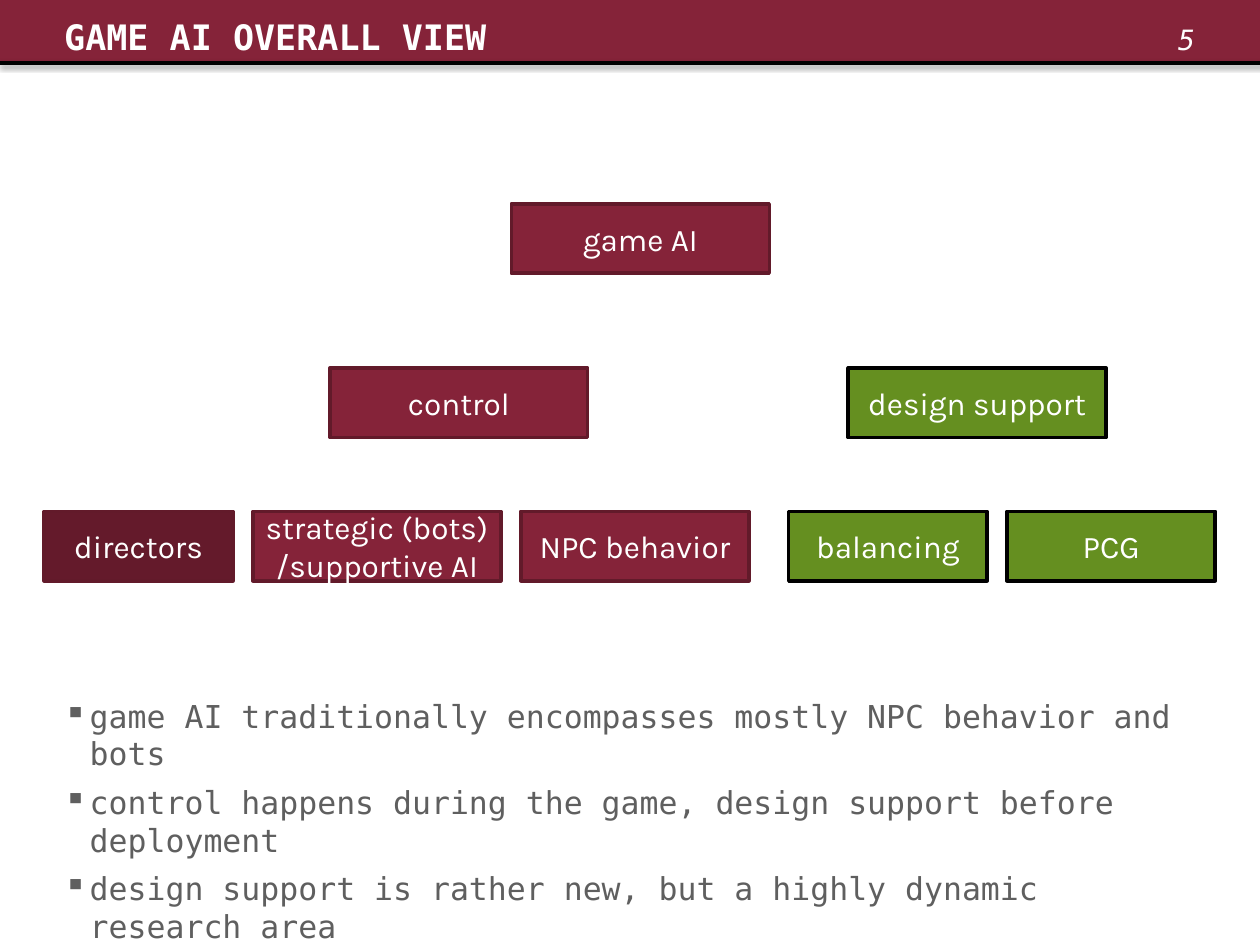
from dataclasses import dataclass

from lxml import etree
from pptx import Presentation
from pptx.dml.color import RGBColor
from pptx.enum import shapes, text
from pptx.oxml import ns, parse_xml
from pptx.util import Cm, Pt


@dataclass(frozen=True)
class Theme:
    wine: str = "852339"
    dark_wine: str = "641A2B"
    wine_edge: str = "621A2A"
    green: str = "658F20"
    black: str = "000000"
    white: str = "FFFFFF"
    gray: str = "5F5F5F"
    mono: str = "DejaVu Sans Mono"
    sans: str = "Karla"
    title_size: int = 20
    body_size: int = 18
    number_size: int = 16
    line_width: int = 2


THEME = Theme()
NODE_HEIGHT = 1.4
BRANCH_WIDTH = 5.2
LEAF_TOP = 10.31
LEAF_GAP = 0.4
GROUP_GAP = 0.8
CONTROL = (THEME.wine, THEME.wine_edge)
DIRECTION = (THEME.dark_wine, THEME.wine_edge)
DESIGN = (THEME.green, THEME.black)

BRANCHES = [
    ("game AI", 10.31, 4.11, CONTROL),
    ("control", 6.65, 7.42, CONTROL),
    ("design support", 17.1, 7.42, DESIGN),
]
LEAF_GROUPS = [
    [
        ("directors", 3.81, DIRECTION),
        ("strategic (bots)\n/supportive AI", 5, CONTROL),
        ("NPC behavior", 4.6, CONTROL),
    ],
    [("balancing", 4, DESIGN), ("PCG", 4.2, DESIGN)],
]
POINTS = [
    "game AI traditionally encompasses mostly NPC behavior and bots",
    "control happens during the game, design support before deployment",
    "design support is rather new, but a highly dynamic research area",
]


def place(shape, left, top, width, height):
    shape.left, shape.top = Cm(left), Cm(top)
    shape.width, shape.height = Cm(width), Cm(height)


def write(frame, content, size, color, font, align=text.PP_ALIGN.LEFT,
          anchor=text.MSO_ANCHOR.TOP, bold=False, italic=False):
    frame.text = content
    frame.word_wrap = True
    frame.auto_size = text.MSO_AUTO_SIZE.NONE
    frame.vertical_anchor = anchor
    for para in frame.paragraphs:
        para.alignment = align
        for span in para.runs:
            span.font.size = Pt(size)
            span.font.name = font
            span.font.bold = bold
            span.font.italic = italic
            span.font.color.rgb = RGBColor.from_string(color)


def add_box(page, left, top, width, height, fill, edge=None):
    box = page.shapes.add_shape(
        shapes.MSO_SHAPE.RECTANGLE, Cm(left), Cm(top), Cm(width), Cm(height))
    box.shadow.inherit = False
    box.fill.solid()
    box.fill.fore_color.rgb = RGBColor.from_string(fill)
    if edge:
        box.line.color.rgb = RGBColor.from_string(edge)
        box.line.width = Pt(THEME.line_width)
    else:
        box.line.fill.background()
    return box


def add_node(page, label, left, top, width, colors):
    box = add_box(page, left, top, width, NODE_HEIGHT, *colors)
    write(box.text_frame, label, THEME.body_size, THEME.white, THEME.sans,
          text.PP_ALIGN.CENTER, text.MSO_ANCHOR.MIDDLE)


def add_leaves(page):
    left = 0.89
    for group in LEAF_GROUPS:
        for label, width, colors in group:
            add_node(page, label, left, LEAF_TOP, width, colors)
            left += width + LEAF_GAP
        left += GROUP_GAP - LEAF_GAP


def add_rule(page):
    rule = page.shapes.add_connector(
        shapes.MSO_CONNECTOR.STRAIGHT, Cm(0), Cm(1.27), Cm(25.5), Cm(1.27))
    rule.line.color.rgb = RGBColor.from_string(THEME.black)
    rule.line.width = Pt(THEME.line_width)
    rule._element.spPr.append(parse_xml(
        f'<a:effectLst {ns.nsdecls("a")}>'
        f'<a:outerShdw blurRad="{Pt(3.1)}" dist="{Pt(1.6)}" dir="5400000" rotWithShape="0">'
        f'<a:srgbClr val="{THEME.black}"><a:alpha val="38000"/></a:srgbClr>'
        '</a:outerShdw></a:effectLst>'))


def add_header(page):
    add_box(page, 0, -0.03, 25.4, 1.3, THEME.wine)
    add_rule(page)
    number = page.shapes.add_textbox(Cm(23.5), Cm(0.33), Cm(1.73), Cm(0.94))
    write(number.text_frame, "5", THEME.number_size, THEME.white, THEME.mono, italic=True)
    title = page.shapes.title
    place(title, 1.04, 0.18, 21.46, 1.35)
    write(title.text_frame, "GAME AI OVERALL VIEW", THEME.title_size,
          THEME.white, THEME.mono, bold=True)
    page.shapes._spTree.append(title._element)


def add_points(page):
    box = page.shapes.add_textbox(Cm(1.04), Cm(13.92), Cm(23.22), Cm(3.99))
    write(box.text_frame, "\n".join(POINTS), THEME.body_size, THEME.gray, THEME.mono)
    for para in box.text_frame.paragraphs:
        para.space_before = Pt(6)
        properties = para._p.get_or_add_pPr()
        properties.set("marL", str(Cm(0.52)))
        properties.set("indent", str(Cm(-0.52)))
        etree.SubElement(properties, ns.qn("a:buChar"), char="▪")


def main():
    deck = Presentation()
    deck.slide_width, deck.slide_height = Cm(25.4), Cm(19.05)
    page = deck.slides.add_slide(deck.slide_layouts.get_by_name("Title Only"))
    add_header(page)
    for label, left, top, colors in BRANCHES:
        add_node(page, label, left, top, BRANCH_WIDTH, colors)
    add_leaves(page)
    add_points(page)
    deck.save("out.pptx")


if __name__ == "__main__":
    main()
